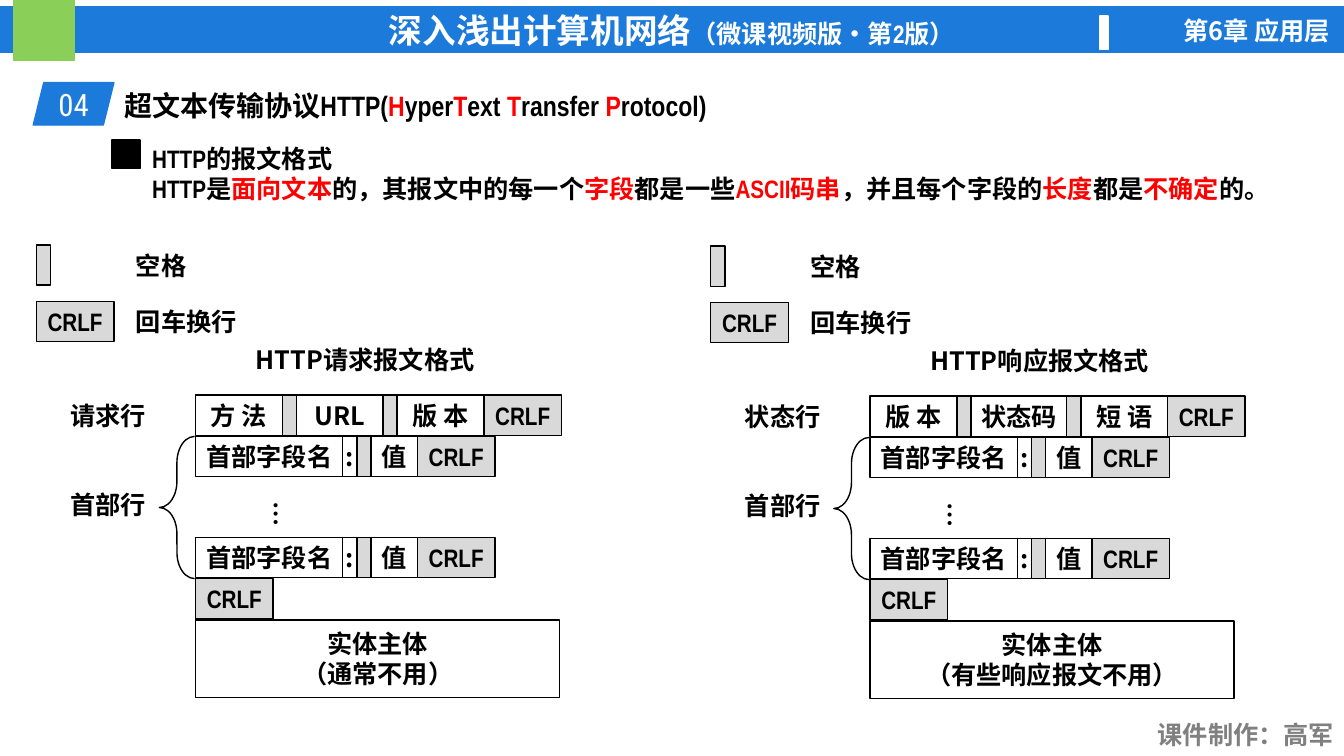
from lxml.etree import SubElement
from pptx import Presentation
from pptx.dml.color import RGBColor
from pptx.enum.shapes import MSO_SHAPE
from pptx.enum.text import MSO_ANCHOR, MSO_AUTO_SIZE, PP_ALIGN
from pptx.oxml.ns import qn
from pptx.util import Inches, Pt

# Content: pieces between bars alternate black and red
TITLE = "超文本传输协议HTTP(|H|yper|T|ext |T|ransfer |P|rotocol)"
BODY = ["HTTP的报文格式",
        "HTTP是|面向文本|的，其报文中的每一个|字段|都是一些|ASCII码串|"
        "，并且每个字段的|长度|都是|不确定|的。"]
BOOK = ("深入浅出计算机网络", "（微课视频版•第2版）")
CHAPTER = "第6章 应用层"
CREDIT = "课件制作：高军"
LEGEND = ("空格", "回车换行")
HEAD = "首部行"
FIELD = [("首部字段名", 1.46), (":", 0.14), ("", 0.14), ("值", 0.46), ("CRLF", 0.77)]
FORMATS = [
    dict(name="HTTP请求报文格式", first="请求行", note="（通常不用）",
         words=[("方 法", 0.86), ("URL", 0.86), ("版 本", 0.86)]),
    dict(name="HTTP响应报文格式", first="状态行", note="（有些响应报文不用）",
         words=[("版 本", 0.86), ("状态码", 0.95), ("短 语", 0.86)]),
]

# Look and grid, in inches
BLUE, GREEN, GREY, RED, BLACK, WHITE = (
    "1B7ADA", "8ACF57", "D9D9D9", "FF0000", "000000", "FFFFFF")
NARROW, SANS, ROBOTO = "Arial Narrow", "Noto Sans CJK SC", "Roboto Condensed"
WIDE, TALL = 13.33, 7.5
ROW, CELL, GAP, CRLF = 0.41, 0.4, 0.14, 0.77
STEP = (6.69, 0.01)
LEFT, MID, RIGHT = PP_ALIGN.LEFT, PP_ALIGN.CENTER, PP_ALIGN.RIGHT

deck = Presentation()
deck.slide_width, deck.slide_height = Inches(WIDE), Inches(TALL)
slide = deck.slides.add_slide(deck.slide_layouts[1])


def color(code):
    return RGBColor.from_string(code)


def apply(thing, **values):
    for key, value in values.items():
        setattr(thing, key, value)


def place(shape, x, y, w, h):
    apply(shape, left=Inches(x), top=Inches(y), width=Inches(w), height=Inches(h))


def write(frame, lines, align=LEFT, **base):
    """Each line is a list of (text, format changes)."""
    for i, line in enumerate(lines):
        para = frame.paragraphs[0] if i == 0 else frame.add_paragraph()
        apply(para, alignment=align, line_spacing=1.0, space_before=Pt(0))
        for text, change in line:
            look = dict(size=18, face=NARROW, bold=True, ink=BLACK) | base | change
            run = para.add_run()
            run.text = text
            apply(run.font, size=Pt(look["size"]), name=look["face"], bold=look["bold"])
            run.font.color.rgb = color(look["ink"])
            SubElement(run.font._element, qn("a:ea")).set("typeface", SANS)


def marked(text):
    return [(part, {"ink": RED if i % 2 else BLACK})
            for i, part in enumerate(text.split("|"))]


def box(x, y, w, h, fill=None, line=BLACK, kind=MSO_SHAPE.RECTANGLE, lines=(), **look):
    shape = slide.shapes.add_shape(kind, Inches(x), Inches(y), Inches(w), Inches(h))
    shape.shadow.inherit = False
    if fill:
        shape.fill.solid()
        shape.fill.fore_color.rgb = color(fill)
    else:
        shape.fill.background()
    shape.line.color.rgb = color(line)
    shape.line.width = Pt(1)
    if lines:
        frame = shape.text_frame
        apply(frame, margin_left=0, margin_right=0, margin_top=0, margin_bottom=0,
              word_wrap=False, vertical_anchor=MSO_ANCHOR.MIDDLE)
        write(frame, lines, MID, **look)
    return shape


def label(text, x, y, w, h=CELL, align=LEFT, **look):
    shape = slide.shapes.add_textbox(Inches(x), Inches(y), Inches(w), Inches(h))
    frame = shape.text_frame
    apply(frame, word_wrap=True, auto_size=MSO_AUTO_SIZE.SHAPE_TO_FIT_TEXT)
    write(frame, [[(text, {})]], align, **{"face": SANS} | look)
    return frame


def cells(x, y, row):
    for text, w in row:
        grey = text in ("", "CRLF")
        box(x, y, w, CELL, GREY if grey else None,
            lines=[[(text, {})]] if text else (), face=NARROW if grey else SANS)
        x += w


# Header band and footer
box(0, 0.07, WIDE, 0.45, BLUE, BLUE, size=24, ink=WHITE,
    lines=[[(BOOK[0], {}), (BOOK[1], {"size": 18})]])
box(0.14, 0, 0.6, 0.6, GREEN, GREEN)
box(10.91, 0.16, 0.08, 0.33, WHITE, WHITE)
label(CHAPTER, 11.11, 0.1, 2.18, align=RIGHT, ink=WHITE)
label(CREDIT, 11.34, 7.09, 1.99, align=RIGHT, face=NARROW, ink="808080")

# Title and introduction
box(0.33, 0.82, 0.8, 0.42, BLUE, BLUE, MSO_SHAPE.PARALLELOGRAM,
    [[("04", {})]], size=22, face=ROBOTO, bold=False, ink=WHITE)
title, body = slide.shapes.title, slide.placeholders[1]
place(title, 1.13, 0.82, 6.19, 0.44)
place(body, 1.41, 1.3, 11.59, 0.84)
for holder in (title, body):
    apply(holder.text_frame, word_wrap=True, auto_size=MSO_AUTO_SIZE.NONE,
          vertical_anchor=MSO_ANCHOR.MIDDLE)
write(title.text_frame, [marked(TITLE)], size=20)
for para in body.text_frame.paragraphs:
    para.space_after = Pt(0)
write(body.text_frame, [marked(line) for line in BODY])
for para in body.text_frame.paragraphs:
    props = para._p.get_or_add_pPr()
    apply(para, space_after=Pt(0))
    props.set("marL", "0")
    props.set("indent", "0")
    SubElement(props, qn("a:buNone"))
box(1.11, 1.39, 0.28, 0.28, BLACK)

# Request format on the left, response format on the right
for i, form in enumerate(FORMATS):
    dx, dy = i * STEP[0], i * STEP[1]
    key, side, x = 0.36 + dx, 0.6 + dx, 1.94 + dx
    top = 3.92 + dy
    second, last = top + ROW, top + ROW + 1

    # Legend
    for j, (text, sign) in enumerate(zip(LEGEND, [("", GAP), ("CRLF", CRLF)])):
        y = 2.43 + dy + j * 0.56
        cells(key, y, [sign])
        label(text, key + 0.89, y, 1.25)
    label(form["name"], x + 0.5, 3.37 + dy, 2.5)

    # First line, with a space between its words
    a, b, c = form["words"]
    cells(x, top, [a, ("", GAP), b, ("", GAP), c, ("CRLF", CRLF)])
    label(form["first"], side, top, 0.97)

    # Header lines
    for y in (second, last):
        cells(x, y, FIELD)
    dots = label("…", x + 0.5, 4.88 + dy, 0.5, 0.25)
    dots._txBody.bodyPr.set("vert", "eaVert")
    brace = box(x - 0.36, second, 0.35, 1.41, kind=MSO_SHAPE.LEFT_BRACE)
    brace.adjustments[0] = 0.74
    label(HEAD, side, 4.81 + dy, 0.97)

    # Blank line and entity body
    cells(x, last + ROW, [("CRLF", CRLF)])
    box(x, last + 2 * ROW, 3.61, 0.77, face=SANS,
        lines=[[("实体主体", {})], [(form["note"], {})]])

deck.save("out.pptx")
